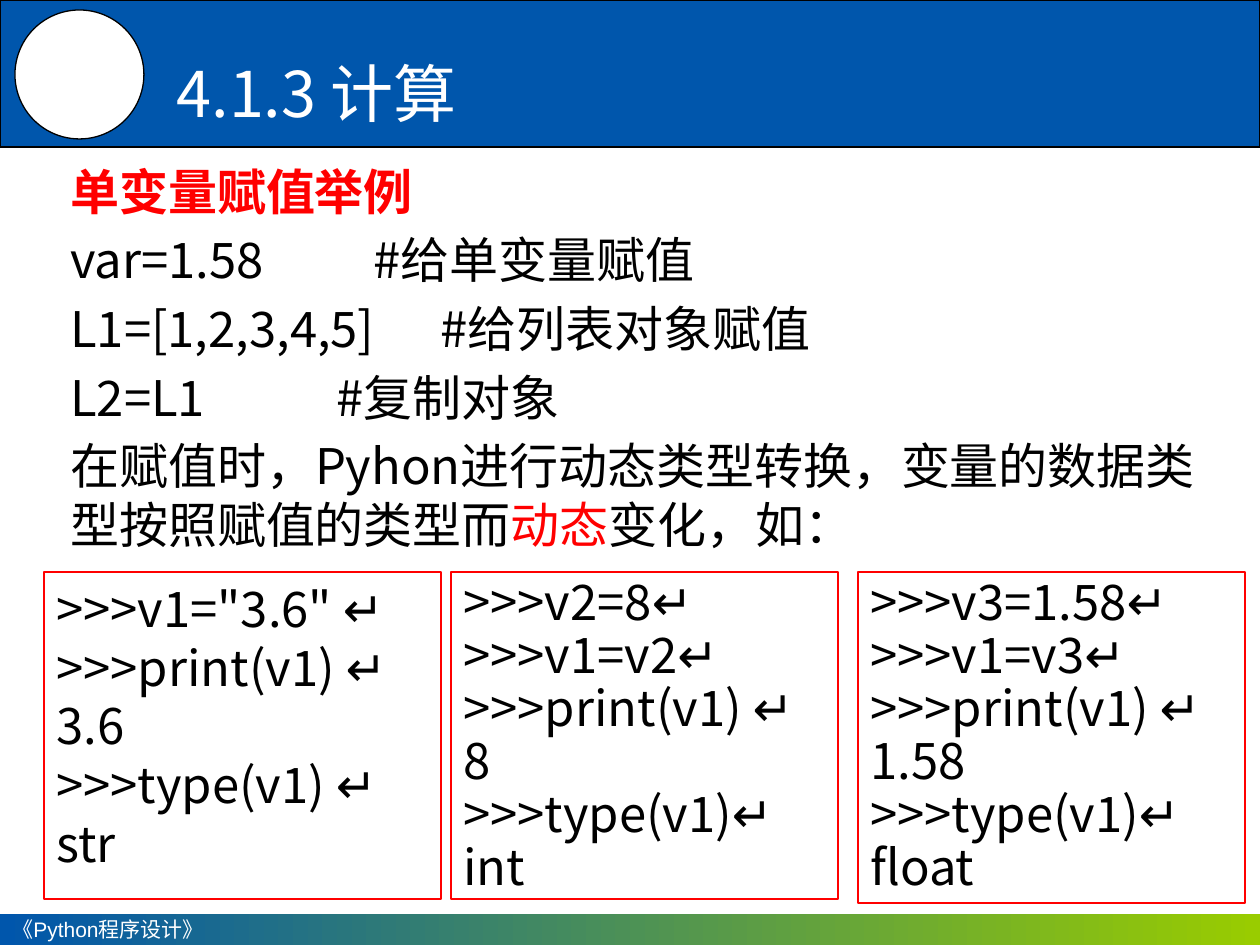
"""Build the slide on assigning a single variable in Python."""
from lxml import etree
from pptx import Presentation
from pptx.dml.color import RGBColor as RGB
from pptx.enum.shapes import MSO_SHAPE as SHAPE
from pptx.enum.text import MSO_ANCHOR as ANCHOR, PP_ALIGN as ALIGN
from pptx.oxml.ns import qn
from pptx.util import Emu, Pt

PX = 914400 / 126
FONT = "Noto Sans CJK SC"
C = {"blue": "0056AC", "green": "99CC00", "red": "FF0000", "black": "000000", "white": "FFFFFF"}


def style(r, size, color, bold=False, latin=FONT):
    r.font.size = Pt(size)
    r.font.bold = bold
    r.font.name = latin
    r.font.color.rgb = RGB.from_string(C[color])
    etree.SubElement(r.font._element, qn("a:ea"), typeface=FONT)


def add_shape(kind, box, fill=None, line=None):
    sp = s.shapes.add_shape(kind, *[Emu(round(v * PX)) for v in box])
    sp.shadow.inherit = False
    if fill:
        sp.fill.solid()
        sp.fill.fore_color.rgb = RGB.from_string(C[fill])
    else:
        sp.fill.background()
    if line:
        sp.line.color.rgb = RGB.from_string(C[line])
        sp.line.width = Pt(0.75)
    else:
        sp.line.fill.background()
    sp.text_frame.word_wrap = True
    return sp


prs = Presentation()
prs.slide_width, prs.slide_height = Emu(round(1260 * PX)), Emu(round(945 * PX))
s = prs.slides.add_slide(prs.slide_layouts[5])

add_shape(SHAPE.RECTANGLE, (0, 0, 1260, 147), "blue", "black")
add_shape(SHAPE.OVAL, (15, 10, 129, 129), "white", "black")

footer = add_shape(SHAPE.RECTANGLE, (0, 914, 1260, 31))
footer.fill.gradient()
footer.fill.gradient_angle = 0
for stop, color, pos in zip(footer.fill.gradient_stops, ("blue", "green"), (0, 1)):
    stop.color.rgb = RGB.from_string(C[color])
    stop.position = pos
tf = footer.text_frame
tf.vertical_anchor = ANCHOR.MIDDLE
p = tf.paragraphs[0]
p.text = "《Python程序设计》"
p.alignment = ALIGN.LEFT
style(p.runs[0], 12, "white", latin="Arial")

title = s.shapes.title
title.left, title.top, title.width, title.height = [Emu(round(v * PX)) for v in (164, 45, 1207, 95)]
title.element.getparent().append(title.element)
tf = title.text_frame
tf.text = "4.1.3 计算"
tf.vertical_anchor = ANCHOR.MIDDLE
p = tf.paragraphs[0]
p.alignment = ALIGN.LEFT
style(p.runs[0], 36, "white")

body = [
    ([("单变量赋值举例", "red")], None),
    ([("var=1.58\t#给单变量赋值", "black")], 303),
    ([("L1=[1,2,3,4,5]\t#给列表对象赋值", "black")], 370),
    ([("L2=L1\t#复制对象", "black")], 266),
    ([("在赋值时，Pyhon进行动态类型转换，变量的数据类型按照赋值的类型而", "black"),
      ("动态", "red"), ("变化，如：", "black")], None),
]
tf = s.shapes.add_textbox(*[Emu(round(v * PX)) for v in (58, 155, 1174, 416)]).text_frame
tf.word_wrap = True
for i, (runs, tab) in enumerate(body):
    p = tf.add_paragraph() if i else tf.paragraphs[0]
    if i:
        p.space_before = Pt(5.6)
    if tab:
        tabs = etree.SubElement(p._p.get_or_add_pPr(), qn("a:tabLst"))
        etree.SubElement(tabs, qn("a:tab"), pos=str(round(tab * PX)), algn="l")
    for text, color in runs:
        r = p.add_run()
        r.text = text
        style(r, 28, color, bold=i == 0)

examples = [
    ((44, 572, 397, 327), 1.0, [">>>v1=\"3.6\" ↵", ">>>print(v1) ↵", "3.6", ">>>type(v1) ↵", "str"]),
    ((451, 572, 387, 327), 0.9, [">>>v2=8↵", ">>>v1=v2↵", ">>>print(v1) ↵", "8", ">>>type(v1)↵", "int"]),
    ((858, 572, 387, 331), 0.9, [">>>v3=1.58↵", ">>>v1=v3↵", ">>>print(v1) ↵", "1.58", ">>>type(v1)↵", "float"]),
]
for box, spacing, lines in examples:
    tf = add_shape(SHAPE.RECTANGLE, box, line="red").text_frame
    tf.vertical_anchor = ANCHOR.TOP
    tf.text = "\n".join(lines)
    for p in tf.paragraphs:
        p.alignment = ALIGN.LEFT
        p.line_spacing = spacing
        style(p.runs[0], 28, "black")

prs.save("out.pptx")
